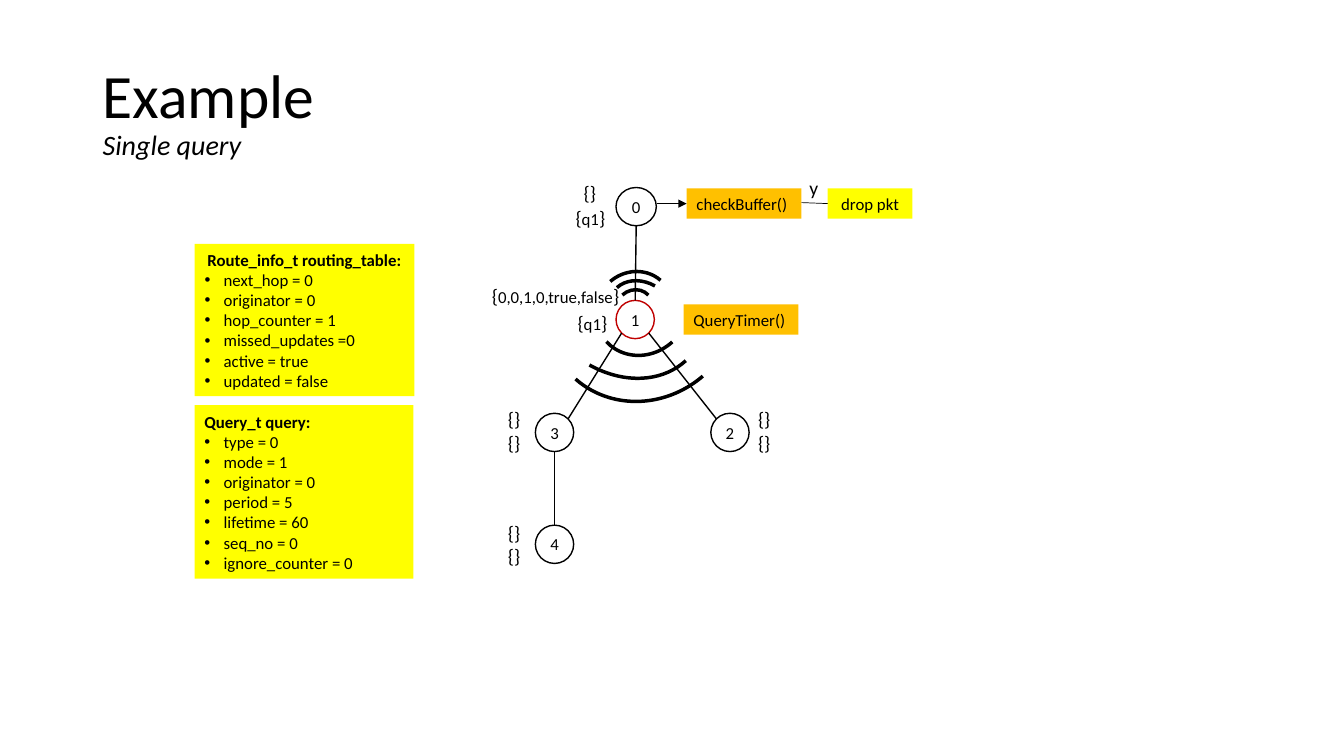
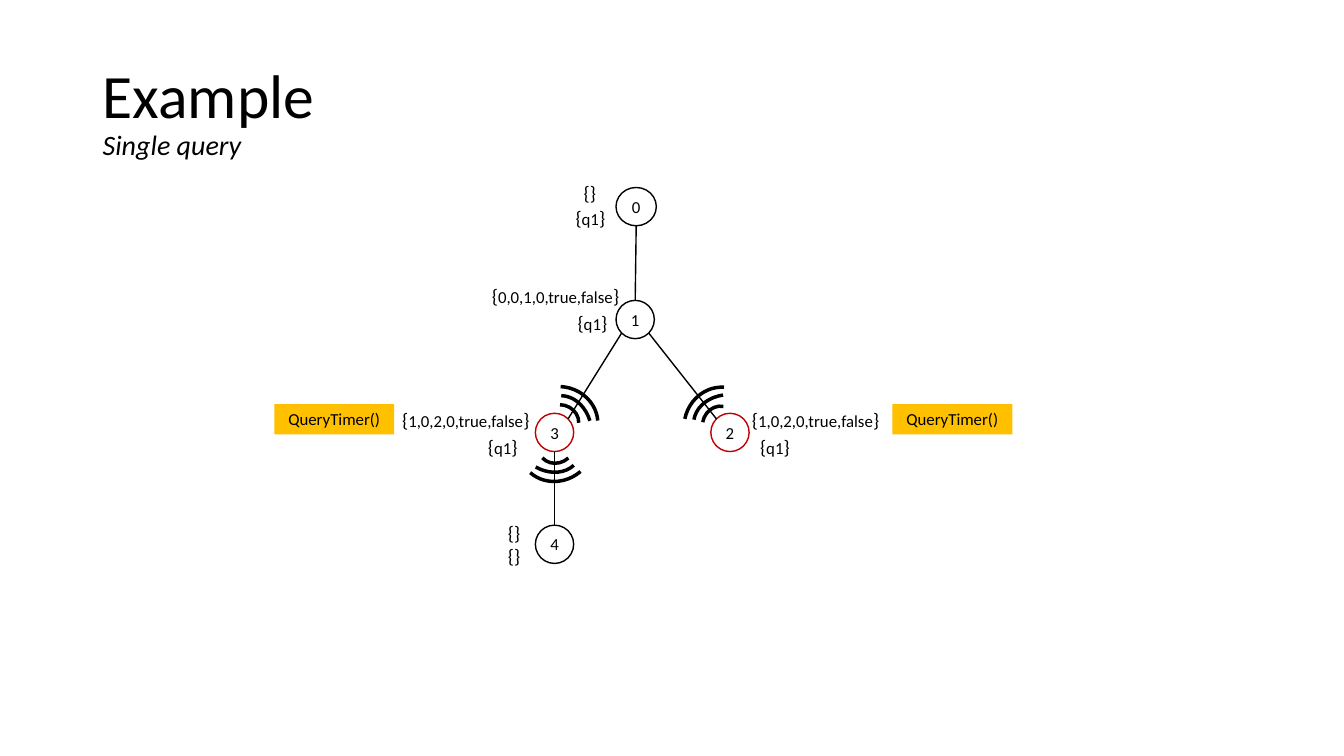
import math

from lxml import etree
from pptx import Presentation
from pptx import util as u
from pptx.dml.color import RGBColor
from pptx.enum import shapes, text
from pptx.oxml.ns import qn

COLORS = {
    "ink": "000000",
    "paper": "FFFFFF",
    "active": "C00000",
    "call": "FFC000",
    "note": "FFFF00",
}
NODES = {
    "0": (6.31, 2.05, 0.4),
    "1": (6.3, 3.17, 0.38),
    "2": (7.24, 4.29, 0.38),
    "3": (5.5, 4.29, 0.38),
    "4": (5.5, 5.4, 0.38),
}
NODE_HEIGHT = 0.38
EDGES = [("0", "1", 90), ("1", "3", 135), ("3", "4", 90), ("1", "2", 45)]
WAVE_ARCS = [
    (0, 0, 0.78, 0.73, (163.11, 212.75)),
    (0.02, 0.12, 0.63, 0.79, (162, 199.34)),
    (0.01, -0.01, 0.38, 0.35, (162, 0)),
]
CENTER = text.PP_ALIGN.CENTER
LEFT = text.PP_ALIGN.LEFT


def color(name):
    return RGBColor.from_string(COLORS[name])


class Deck:
    font = "Calibri"

    def __init__(self):
        self.presentation = Presentation()
        self.presentation.slide_width = u.Inches(13.33)
        self.presentation.slide_height = u.Inches(7.5)
        self.slide = None

    def add_slide(self, title, subtitle):
        layout = self.presentation.slide_layouts[6]
        self.slide = self.presentation.slides.add_slide(layout)
        frame = self.text_box(0.92, 0.4, 3.27, 1.45)
        frame.vertical_anchor = text.MSO_ANCHOR.MIDDLE
        paragraph = frame.paragraphs[0]
        paragraph.line_spacing = 0.9
        self.run(paragraph, title, 44)
        paragraph.add_line_break()
        self.run(paragraph, subtitle, 20, italic=True)

    def run(self, paragraph, content, size=12, bold=False, italic=False):
        run = paragraph.add_run()
        run.text = content
        run.font.name = self.font
        run.font.size = u.Pt(size)
        run.font.bold = bold
        run.font.italic = italic
        run.font.color.rgb = color("ink")

    def text_box(self, left, top, width, height):
        box = self.slide.shapes.add_textbox(*map(u.Inches, (left, top, width, height)))
        box.text_frame.word_wrap = True
        return box.text_frame

    def shape(self, kind, left, top, width, height, fill=None, line=None, weight=1):
        shape = self.slide.shapes.add_shape(kind, *map(u.Inches, (left, top, width, height)))
        shape.shadow.inherit = False
        if fill:
            shape.fill.solid()
            shape.fill.fore_color.rgb = color(fill)
        else:
            shape.fill.background()
        if line:
            shape.line.color.rgb = color(line)
            shape.line.width = u.Pt(weight)
        else:
            shape.line.fill.background()
        return shape

    def line(self, start, end, weight=1, arrow=False):
        connector = self.slide.shapes.add_connector(
            shapes.MSO_CONNECTOR.STRAIGHT, *map(u.Inches, (*start, *end)))
        connector.line.color.rgb = color("ink")
        connector.line.width = u.Pt(weight)
        if arrow:
            etree.SubElement(connector.line._get_or_add_ln(), qn("a:tailEnd"), type="triangle")
        etree.SubElement(connector._element.spPr, qn("a:effectLst"))

    def node(self, name, line):
        x, y, width = NODES[name]
        shape = self.shape(shapes.MSO_SHAPE.OVAL, x - width / 2, y - NODE_HEIGHT / 2,
                           width, NODE_HEIGHT, "paper", line)
        frame = shape.text_frame
        frame.margin_left = frame.margin_right = frame.margin_top = frame.margin_bottom = 0
        frame.word_wrap = False
        frame.paragraphs[0].alignment = CENTER
        self.run(frame.paragraphs[0], name)

    def node_edge_point(self, name, angle):
        x, y, width = NODES[name]
        radians = math.radians(angle)
        return x + width / 2 * math.cos(radians), y + NODE_HEIGHT / 2 * math.sin(radians)

    def tree(self, active):
        for name in NODES:
            self.node(name, "active" if name in active else "ink")
        for parent, child, angle in EDGES:
            self.line(self.node_edge_point(parent, angle),
                      self.node_edge_point(child, angle + 180))

    def state(self, left, top, content=""):
        width = 1.74 if "," in content else 0.6
        paragraph = self.text_box(left, top, width, 0.34).paragraphs[0]
        if content:
            self.run(paragraph, "{", 14)
            self.run(paragraph, content)
            self.run(paragraph, "}", 14)
        else:
            self.run(paragraph, "{}", 14)

    def label(self, left, top, content):
        self.run(self.text_box(left, top, 0.4, 0.34).paragraphs[0], content, 14)

    def box(self, left, top, width, content, fill="call", alignment=CENTER):
        shape = self.shape(shapes.MSO_SHAPE.RECTANGLE, left, top, width, 0.3, fill)
        paragraph = shape.text_frame.paragraphs[0]
        paragraph.alignment = alignment
        self.run(paragraph, content)

    def record(self, left, top, width, height, heading, fields, alignment=LEFT):
        shape = self.shape(shapes.MSO_SHAPE.RECTANGLE, left, top, width, height, "note")
        frame = shape.text_frame
        frame.paragraphs[0].alignment = alignment
        self.run(frame.paragraphs[0], heading, bold=True)
        for field in fields:
            paragraph = frame.add_paragraph()
            paragraph.alignment = LEFT
            properties = paragraph._p.get_or_add_pPr()
            indent = u.Inches(0.19)
            properties.set("marL", str(indent))
            properties.set("indent", str(-indent))
            etree.SubElement(properties, qn("a:buFont"), typeface="Arial")
            etree.SubElement(properties, qn("a:buChar"), char="•")
            self.run(paragraph, field)

    def wave(self, x, y, rotation, scale=1):
        cosine = math.cos(math.radians(rotation))
        sine = math.sin(math.radians(rotation))
        for across, down, width, height, angles in WAVE_ARCS:
            center_x = x + scale * (across * cosine - down * sine)
            center_y = y + scale * (across * sine + down * cosine)
            width, height = width * scale, height * scale
            arc = self.shape(shapes.MSO_SHAPE.ARC, center_x - width / 2,
                             center_y - height / 2, width, height, None, "ink", 2.5)
            arc.adjustments[0], arc.adjustments[1] = angles
            arc.rotation = rotation

    def network(self, active):
        self.add_slide("Example", "Single query")
        self.tree(active)
        self.state(5.69, 1.75)
        self.state(5.61, 1.99, "q1")
        self.state(4.78, 2.77, "0,0,1,0,true,false")
        self.state(5.63, 3.04, "q1")
        self.state(4.94, 5.12)
        self.state(4.94, 5.35)


def first_hop(deck):
    deck.network(active="1")
    for left in (4.94, 7.42):
        for top in (3.99, 4.23):
            deck.state(left, top)
    deck.record(1.93, 4.02, 2.17, 1.72, "Query_t query:", [
        "type = 0", "mode = 1", "originator = 0", "period = 5",
        "lifetime = 60", "seq_no = 0", "ignore_counter = 0"])
    deck.record(1.93, 2.42, 2.18, 1.51, "Route_info_t routing_table:", [
        "next_hop = 0", "originator = 0", "hop_counter = 1",
        "missed_updates =0", "active = true", "updated = false"], CENTER)
    deck.wave(6.37, 3.03, 137.6, 2.53)
    deck.wave(6.29, 3.07, 317.6)
    deck.box(6.81, 1.87, 1.14, "checkBuffer()", alignment=LEFT)
    deck.line((7.95, 2.01), (8.21, 2.02), 0.5)
    deck.label(7.93, 1.7, "y")
    deck.box(8.21, 1.87, 0.84, "drop pkt", "note")
    deck.line((6.52, 2.02), (6.81, 2.02), 0.5, arrow=True)
    deck.box(6.78, 3.02, 1.14, "QueryTimer()", alignment=LEFT)


def second_hop(deck):
    deck.network(active="23")
    for route_left, query_left, box_left in ((3.89, 4.74, 2.72), (7.36, 7.44, 8.85)):
        deck.state(route_left, 4, "1,0,2,0,true,false")
        deck.state(query_left, 4.27, "q1")
        deck.box(box_left, 4.01, 1.19, "QueryTimer()")
    deck.wave(5.54, 4.2, 1.4)
    deck.wave(7.15, 4.23, 280)
    deck.wave(5.52, 4.4, 137.6)


def main():
    deck = Deck()
    first_hop(deck)
    second_hop(deck)
    deck.presentation.save("out.pptx")


if __name__ == "__main__":
    main()
